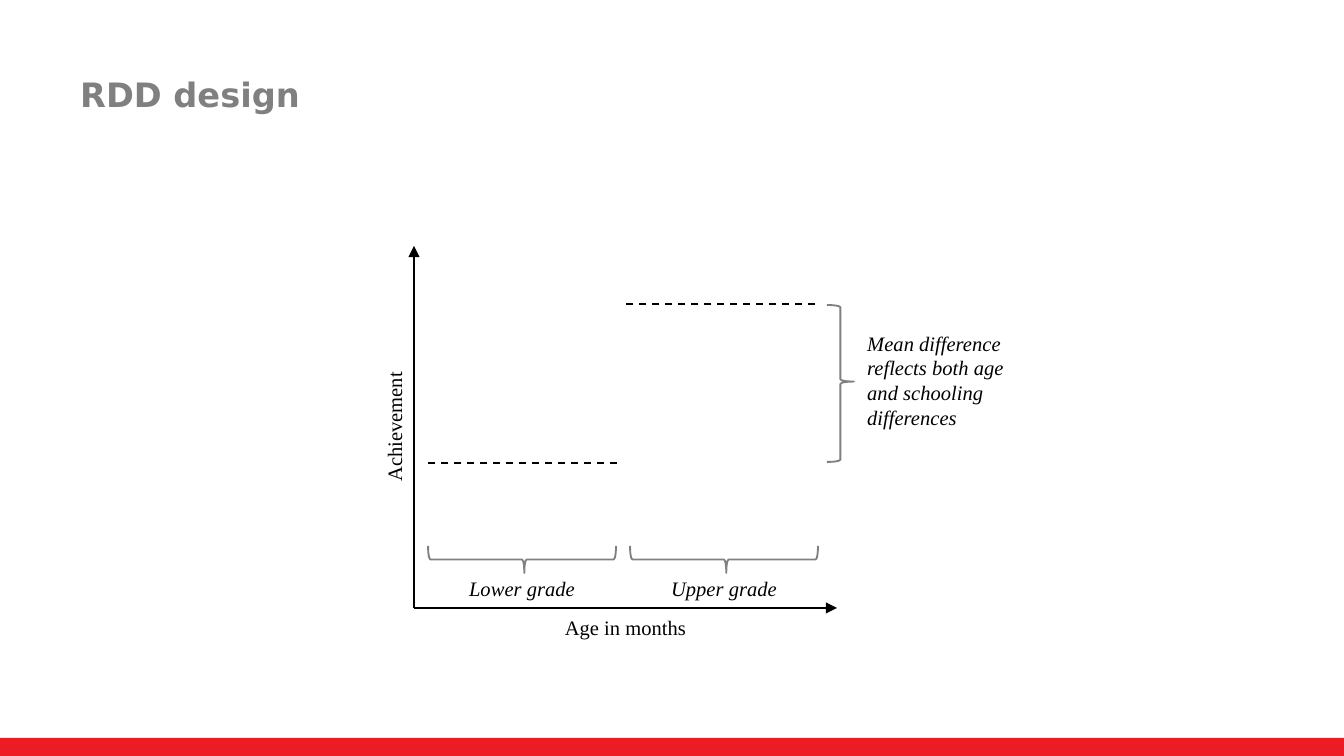
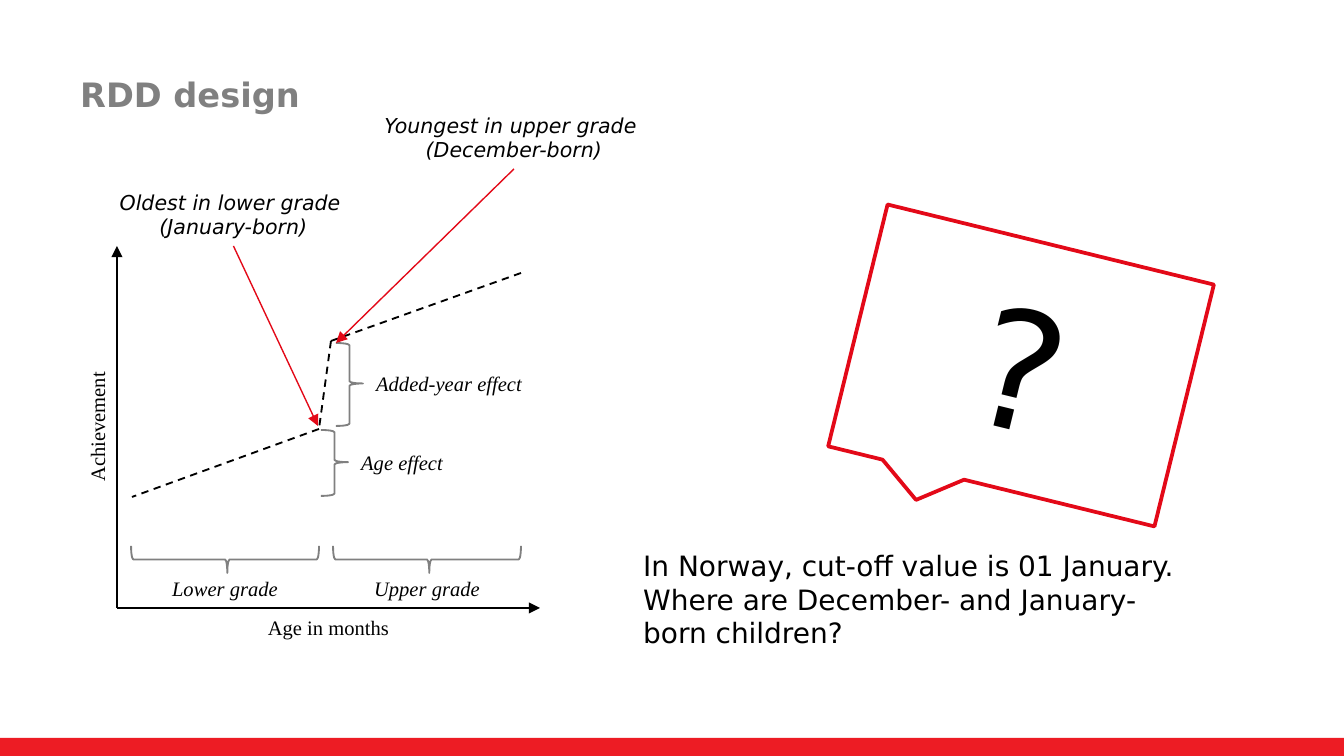
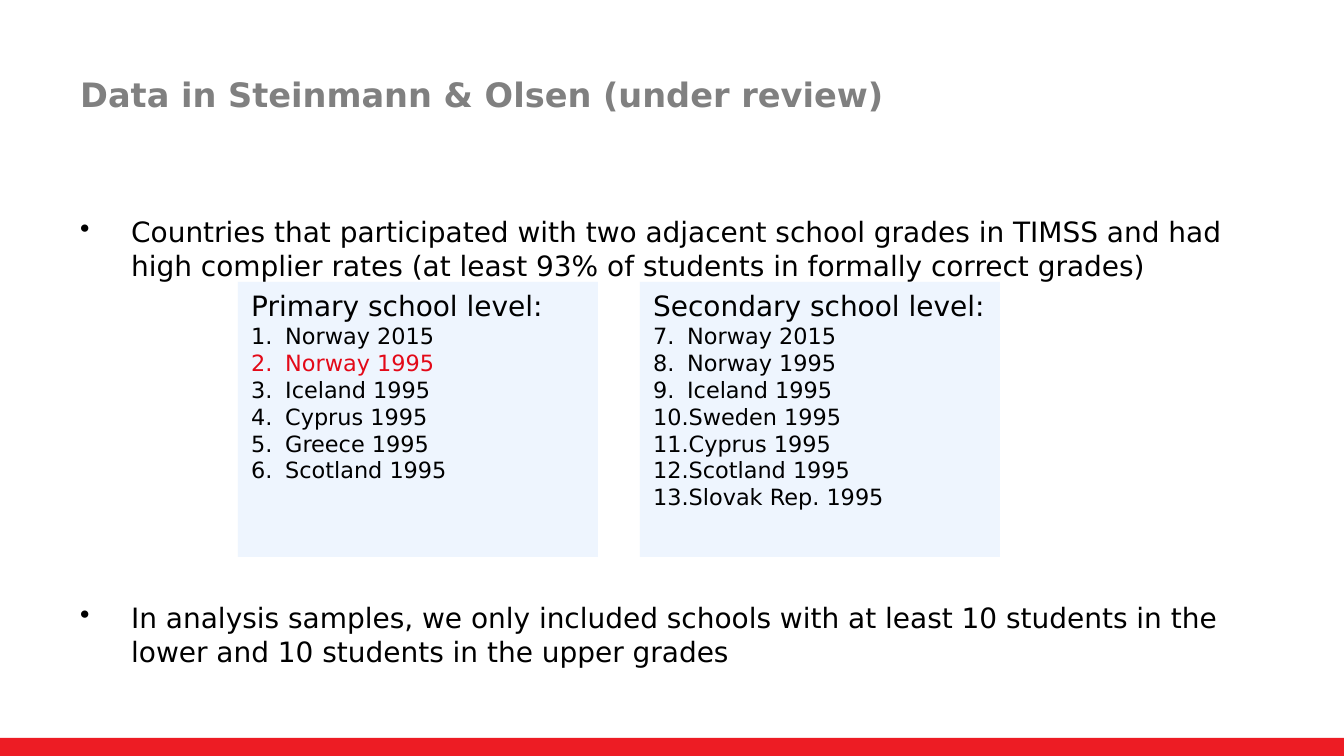
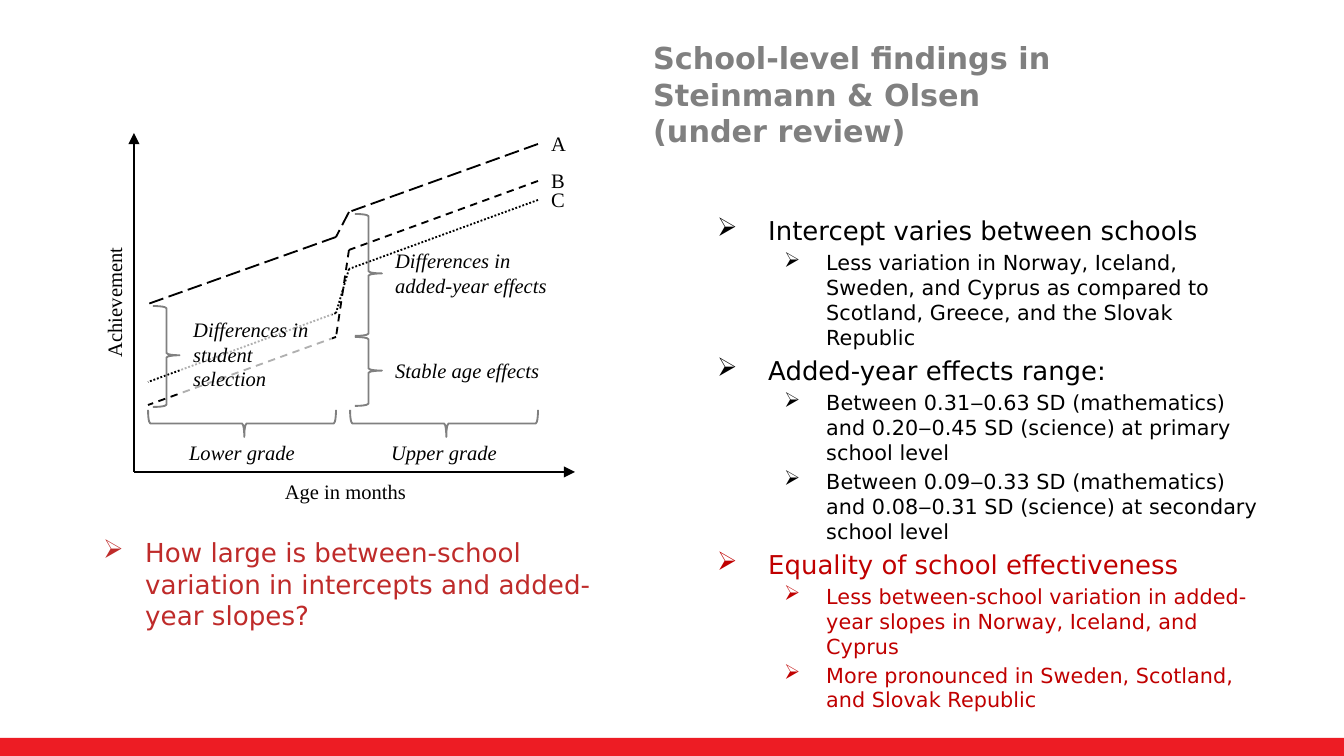
"""Builds four slides on the regression discontinuity design (RDD)."""
from lxml import etree
from pptx import Presentation
from pptx.dml.color import RGBColor
from pptx.enum.dml import MSO_LINE
from pptx.enum.shapes import MSO_CONNECTOR, MSO_SHAPE
from pptx.enum.text import MSO_ANCHOR, PP_ALIGN
from pptx.oxml.ns import qn
from pptx.util import Pt

STRAIGHT = MSO_CONNECTOR.STRAIGHT
RECT, BRACE = MSO_SHAPE.RECTANGLE, MSO_SHAPE.RIGHT_BRACE
CALLOUT = MSO_SHAPE.ROUNDED_RECTANGULAR_CALLOUT
DASH, DOT, LONG_DASH = MSO_LINE.DASH, MSO_LINE.ROUND_DOT, MSO_LINE.LONG_DASH
LEFT, CENTER = PP_ALIGN.LEFT, PP_ALIGN.CENTER
TOP, MIDDLE = MSO_ANCHOR.TOP, MSO_ANCHOR.MIDDLE

BLACK = RGBColor(0x00, 0x00, 0x00)
WHITE = RGBColor(0xFF, 0xFF, 0xFF)
GREY = RGBColor(0x80, 0x80, 0x80)
BAND = RGBColor(0xED, 0x1C, 0x24)
RED = RGBColor(0xE3, 0x09, 0x18)
DARK_RED = RGBColor(0xC0, 0x00, 0x00)
BRICK = RGBColor(0xBF, 0x2B, 0x2A)
PALE_BLUE = RGBColor(0xEE, 0xF5, 0xFE)

SANS, SERIF = "DejaVu Sans", "Times New Roman"
TITLE = {"name": SANS, "size": Pt(18), "bold": True}
SMALL_TITLE = {**TITLE, "size": Pt(16.2)}
BODY = {"name": SANS, "size": Pt(15)}
ITEM = {"name": SANS, "size": Pt(12)}
POINT = {"name": SANS, "size": Pt(13.9)}
DETAIL = {"name": SANS, "size": Pt(11.1)}
QUESTION = {"name": SANS, "size": Pt(14)}
MARK = {"name": SANS, "size": Pt(88)}
CALL = {"name": SANS, "size": Pt(11), "italic": True}
AXIS = {"name": SERIF, "size": Pt(11)}
NOTE = {**AXIS, "italic": True}

DOT_BULLET = (51, 51, "buChar", {"char": "•"})
ARROW = (51, 51, "buChar", {"char": "➢"})
SUB_ARROW = (109, 42, "buChar", {"char": "➢"})
ASK_ARROW = (42, 42, "buChar", {"char": "➢"})

WIDTH, HEIGHT = 1344, 756
TITLE_BOX = (67, 31, 1028, 126)
GRADES = ["Lower grade", "Upper grade"]
LINE_H, BRACE_W, GRADE_W, GRADE_STEP = 39, 27, 188, 202

MEANS = [[(427, 463), (617, 463)], [(625, 304), (815, 304)]]
MEAN_NOTE = (827, 305, 157,
             "Mean difference reflects both age and schooling differences")

TREND = [(132, 497), (319, 429), (331, 341), (521, 273)]
EFFECT_NOTES = [(336, 343, 83, "Added-year effect"),
                (321, 430, 66, "Age effect")]
BORN = [((105, 183, 257, 63), (318, 426),
         ["Oldest in lower grade ", "(January-born)"]),
        ((368, 106, 292, 63), (336, 343),
         ["Youngest in upper grade ", "(December-born)"])]
CUT_OFF = ("In Norway, cut-off value is 01 January. "
           "Where are December- and January-born children?")

SAMPLE_POINTS = [
    (208, "Countries that participated with two adjacent school grades in TIMSS "
          "and had high complier rates (at least 93% of students in formally "
          "correct grades)"),
    (594, "In analysis samples, we only included schools with at least 10 "
          "students in the lower and 10 students in the upper grades"),
]
LEVELS = [
    (640, "Secondary school level:", 7,
     ["Norway 2015", "Norway 1995", "Iceland 1995", "Sweden 1995",
      "Cyprus 1995", "Scotland 1995", "Slovak Rep. 1995"], None),
    (238, "Primary school level:", 1,
     ["Norway 2015", "Norway 1995", "Iceland 1995", "Cyprus 1995",
      "Greece 1995", "Scotland 1995"], 1),
]

AGES = [148, 336, 349, 538]
SCHOOLS = [("B", DASH, [405, 337, 250, 181]),
           ("C", DOT, [382, 313, 269, 200]),
           ("A", LONG_DASH, [304, 237, 212, 144])]
SCHOOL_NOTES = [(355, 337, 69, "Stable age effects"),
                (355, 214, 122, "Differences in added-year effects")]
SELECTION_NOTE = (153, 306, 101, "Differences in student selection")
FINDINGS = [
    ("Intercept varies between schools", BLACK,
     ["Less variation in Norway, Iceland, Sweden, and Cyprus as compared to "
      "Scotland, Greece, and the Slovak Republic"]),
    ("Added-year effects range:", BLACK,
     ["Between 0.31‒0.63 SD (mathematics) and 0.20‒0.45 SD (science) at "
      "primary school level",
      "Between 0.09‒0.33 SD (mathematics) and 0.08‒0.31 SD (science) at "
      "secondary school level"]),
    ("Equality of school effectiveness", DARK_RED,
     ["Less between-school variation in added-year slopes in Norway, Iceland, "
      "and Cyprus",
      "More pronounced in Sweden, Scotland, and Slovak Republic"]),
]
ASK = ("How large is between-school variation in intercepts and "
       "added-year slopes?")


def px(v):
    return round(v * 914400 / 134.4)


def box(*lengths):
    return [px(v) for v in lengths]


def turned(x, y, w, h):
    return x + (w - h) / 2, y + (h - w) / 2, h, w


def para(text, style, color=BLACK, bullet=None):
    return text, style, color, bullet


def write(sp, paras, align=LEFT, anchor=TOP, wrap=True, gap=False):
    tf = sp.text_frame
    tf.word_wrap, tf.vertical_anchor = wrap, anchor
    for i, (text, style, color, bullet) in enumerate(paras):
        p = tf.add_paragraph() if i else tf.paragraphs[0]
        p.alignment = align
        if bullet:
            margin, hang, tag, attrs = bullet
            pPr = p._p.get_or_add_pPr()
            pPr.set("marL", str(px(margin)))
            pPr.set("indent", str(-px(hang)))
            etree.SubElement(pPr, qn("a:" + tag), attrs)
        if gap and i:
            p.space_before = Pt(round(style["size"].pt * 0.2, 1))
        r = p.add_run()
        r.text = text
        for key, value in style.items():
            setattr(r.font, key, value)
        r.font.color.rgb = color
    return sp


def text_box(s, area, paras, **layout):
    return write(s.shapes.add_textbox(*box(*area)), paras, **layout)


def shape(s, kind, area, fill=None, line=None, weight=1):
    sp = s.shapes.add_shape(kind, *box(*area))
    sp.shadow.inherit = False
    if fill is None:
        sp.fill.background()
    else:
        sp.fill.solid()
        sp.fill.fore_color.rgb = fill
    if line is None:
        sp.line.fill.background()
    else:
        sp.line.color.rgb = line
        sp.line.width = Pt(weight)
    return sp


def line(s, start, end, color=BLACK, weight=1, dash=None, arrow=False):
    c = s.shapes.add_connector(STRAIGHT, *box(*start, *end))
    c.line.color.rgb = color
    c.line.width = Pt(weight)
    if dash:
        c.line.dash_style = dash
    if arrow:
        etree.SubElement(c.line._get_or_add_ln(), qn("a:tailEnd"),
                         {"type": "triangle"})
    etree.SubElement(c._element.spPr, qn("a:effectLst"))
    return c


def polyline(s, points, dash):
    back = points[::-1]
    for start, end in zip(back, back[1:]):
        line(s, start, end, dash=dash)


def brace(s, area, rotation=0):
    sp = shape(s, BRACE, area, line=GREY)
    sp.adjustments[0], sp.adjustments[1] = 0.083, 0.488
    sp.rotation = rotation


def brace_note(s, x, y, h, text, w=180, text_h=LINE_H, veil=None):
    brace(s, (x, y, BRACE_W, h))
    area = (x + BRACE_W, y + round(h * 0.48) - text_h / 2, w, text_h)
    sp = shape(s, RECT, area, WHITE) if veil else s.shapes.add_textbox(*box(*area))
    if veil:
        rgb = sp._element.spPr.find(qn("a:solidFill"))[0]
        etree.SubElement(rgb, qn("a:alpha"), {"val": str(veil * 1000)})
    write(sp, [para(text, NOTE)], anchor=MIDDLE)


def axes(s, x, top, right, base, label_x):
    line(s, (x, base), (x, top), arrow=True)
    line(s, (x, base), (right, base), arrow=True)
    upright = text_box(s, turned(x - LINE_H, top, LINE_H, base - top),
                       [para("Achievement", AXIS)], align=CENTER)
    upright.rotation = 270
    text_box(s, (label_x, base, right - label_x, LINE_H),
             [para("Age in months", AXIS)], align=CENTER)
    for i, grade in enumerate(GRADES):
        left = x + 14 + i * GRADE_STEP
        brace(s, turned(left, base - 62, GRADE_W, BRACE_W), 90)
        text_box(s, (left, base - 39, GRADE_W, LINE_H), [para(grade, NOTE)],
                 align=CENTER, anchor=MIDDLE)


def new_slide(prs, title, area=TITLE_BOX, style=TITLE):
    s = prs.slides.add_slide(prs.slide_layouts[6])
    shape(s, RECT, (0, 738, WIDTH, 18), BAND)
    text_box(s, area, [para(title, style, GREY)], anchor=MIDDLE)
    return s


def mean_slide(prs):
    s = new_slide(prs, "RDD design")
    axes(s, 414, 246, 837, 608, 414)
    for points in MEANS:
        polyline(s, points, DASH)
    brace_note(s, *MEAN_NOTE, text_h=113)


def cut_off_slide(prs):
    s = new_slide(prs, "RDD design")
    axes(s, 117, 246, 540, 608, 117)
    polyline(s, TREND, DASH)
    for note in EFFECT_NOTES:
        brace_note(s, *note)
    sp = shape(s, CALLOUT, (853, 241, 336, 249), line=RED, weight=2)
    for i, value in enumerate([-0.208, 0.625, 0]):
        sp.adjustments[i] = value
    sp.rotation = 13.8
    write(sp, [para("?", MARK)], align=CENTER, anchor=MIDDLE)
    text_box(s, (630, 542, 560, 171), [para(CUT_OFF, BODY)])
    for area, target, rows in BORN:
        sp = text_box(s, area, [para(row, CALL) for row in rows],
                      align=CENTER, wrap=False)
        x, y, w, h = area
        c = line(s, (x + w / 2, y + h), target, RED, 0.75, arrow=True)
        c.begin_connect(sp, 2)


def data_slide(prs):
    s = new_slide(prs, "Data in Steinmann & Olsen (under review)")
    for y, text in SAMPLE_POINTS:
        text_box(s, (67, y, 1210, 81), [para(text, BODY, bullet=DOT_BULLET)])
    for x, heading, first, countries, marked in LEVELS:
        number = (34, 34, "buAutoNum",
                  {"type": "arabicPeriod", "startAt": str(first)})
        items = [para(name, ITEM, RED if i == marked else BLACK, number)
                 for i, name in enumerate(countries)]
        sp = shape(s, RECT, (x, 282, 360, 275), PALE_BLUE)
        write(sp, [para(heading, BODY)] + items)


def findings_slide(prs):
    s = new_slide(prs, "School-level findings in Steinmann & Olsen (under review)",
                  (640, 31, 456, 126), SMALL_TITLE)
    paras = []
    for point, color, details in FINDINGS:
        paras.append(para(point, POINT, color, ARROW))
        paras += [para(d, DETAIL, color, SUB_ARROW) for d in details]
    text_box(s, (704, 208, 573, 466), paras, gap=True)
    axes(s, 134, 133, 575, 472, 116)
    for name, dash, scores in SCHOOLS:
        polyline(s, list(zip(AGES, scores)), dash)
        text_box(s, (AGES[-1], scores[-1] - 20, 47, LINE_H), [para(name, AXIS)],
                 anchor=MIDDLE)
    for note in SCHOOL_NOTES:
        brace_note(s, *note)
    brace_note(s, *SELECTION_NOTE, w=152, text_h=89, veil=69)
    text_box(s, (90, 530, 531, 109), [para(ASK, QUESTION, BRICK, ASK_ARROW)])


def main():
    prs = Presentation()
    prs.slide_width, prs.slide_height = box(WIDTH, HEIGHT)
    for build in (mean_slide, cut_off_slide, data_slide, findings_slide):
        build(prs)
    prs.save("out.pptx")


if __name__ == "__main__":
    main()
